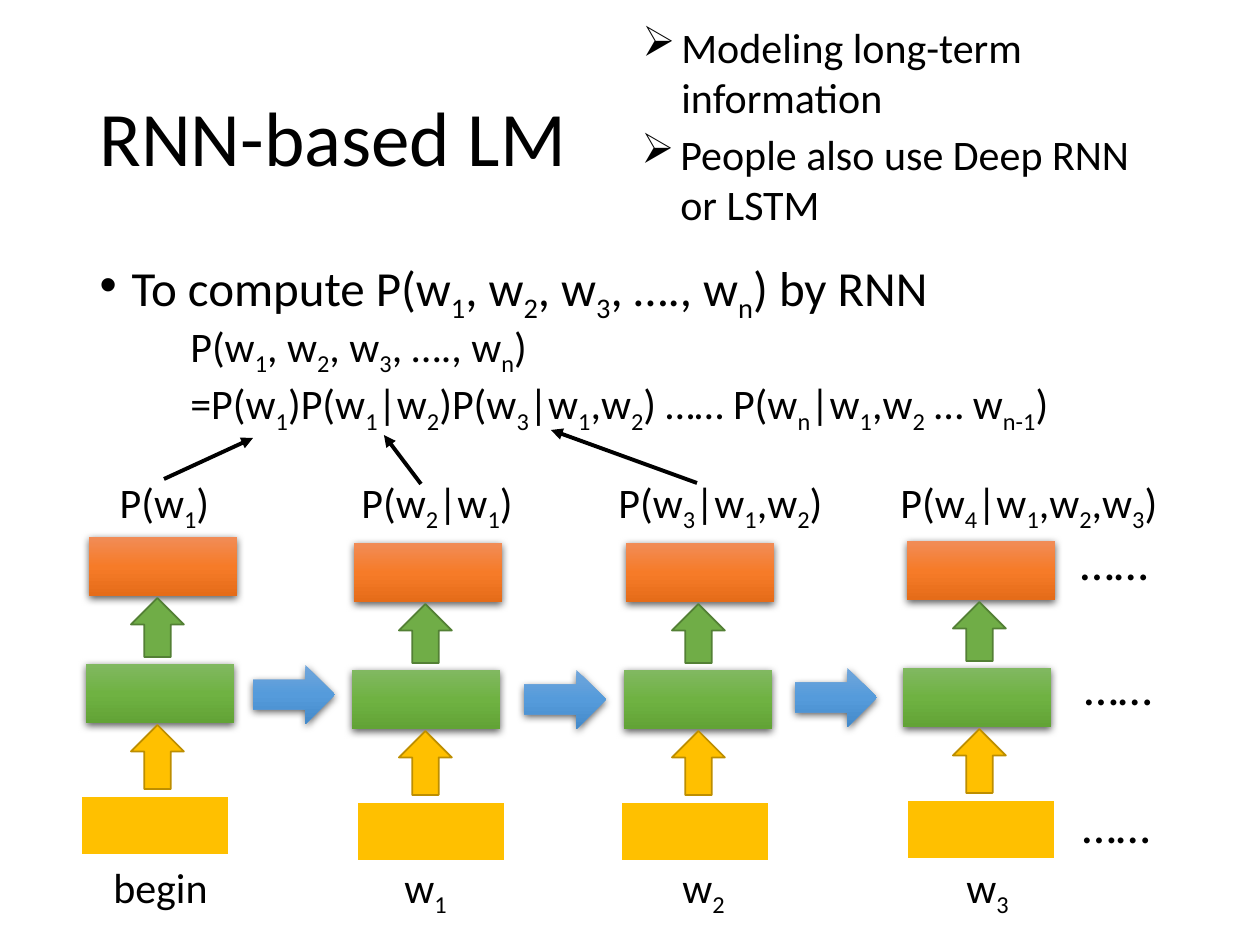
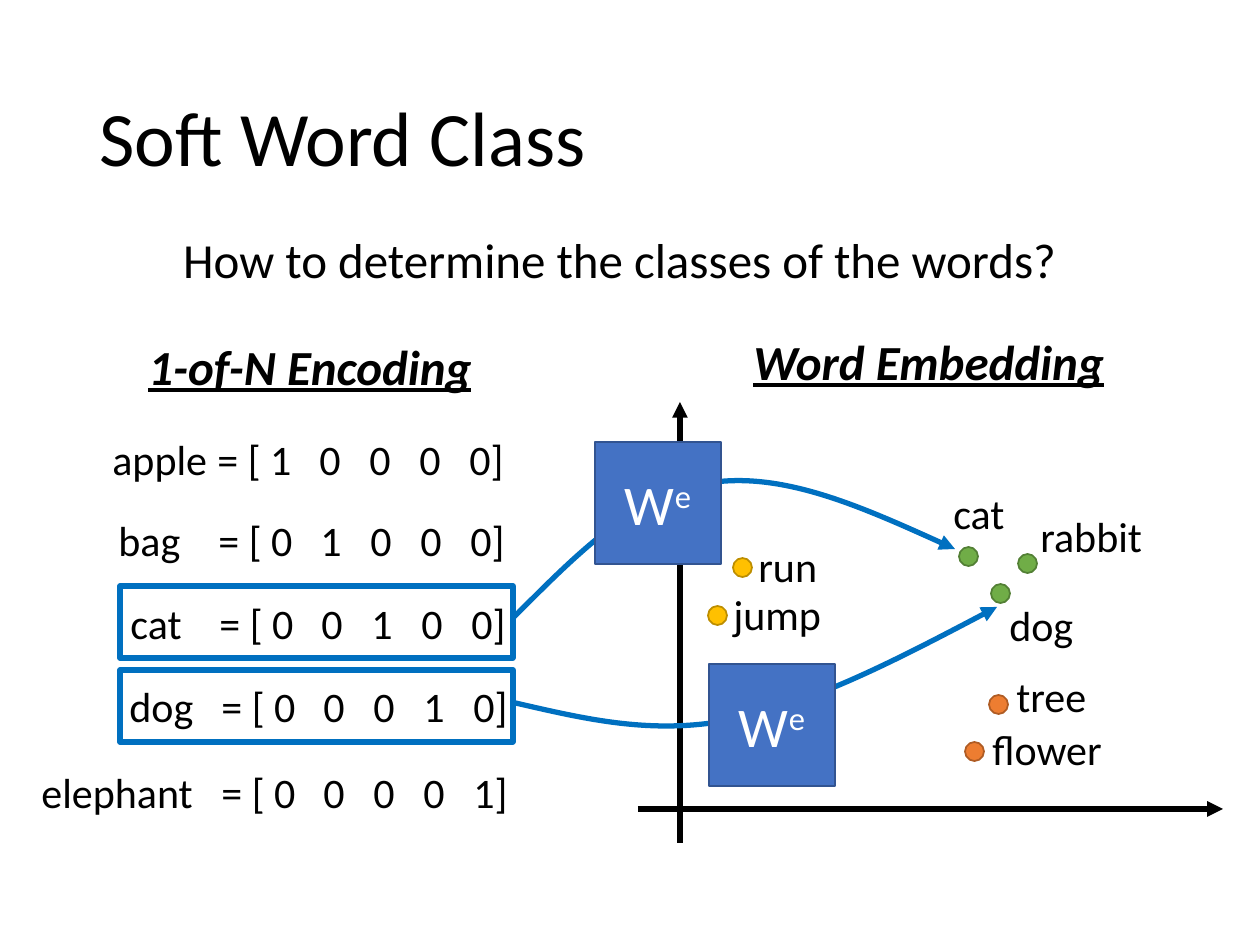
from lxml.etree import SubElement
from pptx import Presentation
from pptx.dml.color import RGBColor
from pptx.enum.shapes import MSO_CONNECTOR, MSO_SHAPE
from pptx.enum.text import MSO_ANCHOR, MSO_AUTO_SIZE, PP_ALIGN
from pptx.oxml.ns import qn
from pptx.util import Emu, Pt

RECT, OVAL = MSO_SHAPE.RECTANGLE, MSO_SHAPE.OVAL
UP, RIGHT = MSO_SHAPE.UP_ARROW, MSO_SHAPE.RIGHT_ARROW
LINE = MSO_CONNECTOR.STRAIGHT
LEFT, MID = PP_ALIGN.LEFT, PP_ALIGN.CENTER
TOP, CENTER = MSO_ANCHOR.TOP, MSO_ANCHOR.MIDDLE
FIXED = MSO_AUTO_SIZE.NONE

FONT = "Calibri"
COLORS = {
    "black": "000000", "white": "FFFFFF", "blue": "0070C0",
    "box": "4472C4", "box edge": "325491",
    "gold": "FFC000", "gold edge": "BD8E00",
    "green": "70AD47", "green edge": "538035",
    "rust": "ED7D31", "rust edge": "AF5C24",
}
FADES = {
    "green": ("81B861", "6FB242", "62A336"),
    "rust": ("F18C57", "F67B28", "E56C19"),
    "sky": ("71A6DB", "559BDB", "448ACA"),
}
SCALE = 914400 / 126


def px(value):
    return Emu(round(value * SCALE))


def rgb(name):
    return RGBColor.from_string(COLORS[name])


def write(frame, text, size=24, color="black", align=LEFT, anchor=TOP, bold=None,
          slant=None, under=None, base=-25, space=None, before=0, bullet=None,
          hang=0, tabs=(), wrap=True):
    frame.word_wrap = wrap
    frame.auto_size = FIXED
    frame.vertical_anchor = anchor
    for i, row in enumerate(text.split("\n")):
        para = frame.add_paragraph() if i else frame.paragraphs[0]
        para.alignment = align
        para.space_before = Pt(before)
        if space:
            para.line_spacing = space
        for j, part in enumerate(row.split("~")):
            if not part:
                continue
            run = para.add_run()
            run.text = part
            font = run.font
            font.name, font.size = FONT, Pt(size)
            font.bold, font.italic, font.underline = bold, slant, under
            font.color.rgb = rgb(color)
            if j % 2:
                run._r.get_or_add_rPr().set("baseline", str(base * 1000))
        props = para._p.get_or_add_pPr()
        if bullet:
            props.set("marL", str(px(hang)))
            props.set("indent", str(-px(hang)))
            SubElement(props, qn("a:buChar"), char=bullet)
        if tabs:
            stops = SubElement(props, qn("a:tabLst"))
            for stop in tabs:
                SubElement(stops, qn("a:tab"), pos=str(px(stop)), algn="l")


class Deck:
    def __init__(self):
        self.show = Presentation()
        self.show.slide_width, self.show.slide_height = px(1260), px(945)
        self.slide = None

    def page(self, title, layout):
        self.slide = self.show.slides.add_slide(self.show.slide_layouts[layout])
        self.hold(0, title, 87, 50, 1086, 183, size=44, anchor=CENTER, space=0.9)

    def hold(self, index, text, x, y, w, h, **style):
        item = self.slide.placeholders[index]
        item.left, item.top, item.width, item.height = map(px, (x, y, w, h))
        write(item.text_frame, text, **style)

    def text(self, text, x, y, w, h=63, **style):
        item = self.slide.shapes.add_textbox(*map(px, (x, y, w, h)))
        write(item.text_frame, text, **style)

    def shape(self, kind, x, y, w, h, fill=None, edge=None, width=1):
        item = self.slide.shapes.add_shape(kind, *map(px, (x, y, w, h)))
        item.shadow.inherit = False
        if fill:
            item.fill.solid()
            item.fill.fore_color.rgb = rgb(fill)
        else:
            item.fill.background()
        if edge:
            item.line.color.rgb = rgb(edge)
            item.line.width = Pt(width)
        else:
            item.line.fill.background()
        return item

    def fade(self, kind, x, y, w, h, name):
        item = self.shape(kind, x, y, w, h)
        item.fill.gradient()
        item.fill.gradient_angle = 270
        props = item._element.spPr
        stops = props.find(".//" + qn("a:gsLst"))
        for old in list(stops):
            stops.remove(old)
        for i, tone in enumerate(FADES[name]):
            stop = SubElement(stops, qn("a:gs"), pos=str(i * 50000))
            SubElement(stop, qn("a:srgbClr"), val=tone)
        shade = SubElement(props.find(qn("a:effectLst")), qn("a:outerShdw"),
                           blurRad=str(Pt(4.5)), dist=str(Pt(1.5)),
                           dir="5400000", algn="ctr", rotWithShape="0")
        tint = SubElement(shade, qn("a:srgbClr"), val=COLORS["black"])
        SubElement(tint, qn("a:alpha"), val="63000")

    def head(self, item, color, width):
        item.line.color.rgb = rgb(color)
        item.line.width = Pt(width)
        SubElement(item.line._get_or_add_ln(), qn("a:tailEnd"), type="triangle")

    def arrow(self, x1, y1, x2, y2, width):
        item = self.slide.shapes.add_connector(LINE, *map(px, (x1, y1, x2, y2)))
        self.head(item, "black", width)
        SubElement(item._element.spPr, qn("a:effectLst"))

    def curve(self, start, *points):
        form = self.slide.shapes.build_freeform(*start, scale=SCALE)
        form.add_line_segments(points, close=False)
        item = form.convert_to_shape()
        item.shadow.inherit = False
        item.fill.background()
        self.head(item, "blue", 3)
        track = item._element.spPr.find(".//" + qn("a:path"))
        legs = track.findall(qn("a:lnTo"))
        for i in range(0, len(legs), 3):
            bend = SubElement(track, qn("a:cubicBezTo"))
            for leg in legs[i:i + 3]:
                bend.append(leg[0])
                track.remove(leg)

    def dot(self, x, y, color):
        self.shape(OVAL, x, y, 19, 19, color, color + " edge")


deck = Deck()

deck.page("RNN-based LM", 1)
deck.hold(1, "To compute P(w~1~, w~2~, w~3~, …., w~n~) by RNN", 87, 252, 1086, 600,
          size=28, space=0.9, before=10, bullet="•", hang=32)

COLUMNS = (
    (81, 86, 89, 131, 0),
    (357, 352, 354, 399, 6),
    (621, 624, 626, 672, 6),
    (907, 903, 907, 953, 4),
)
for low, mid, high, stem, drop in COLUMNS:
    deck.shape(RECT, low, 796 + drop, 148, 59, "gold", "white", 1.5)
    deck.fade(RECT, mid, 664 + drop, 148, 59, "green")
    deck.fade(RECT, high, 537 + drop, 148, 59, "rust")
    deck.shape(UP, stem, 725 + drop, 53, 64, "gold", "gold edge")
    deck.shape(UP, stem, 598 + drop, 53, 59, "green", "green edge")
for i, y in enumerate((665, 670, 668)):
    deck.fade(RIGHT, 253 + 271 * i, y, 82, 59, "sky")

for word, x in (("begin", 76), ("w~1~", 341), ("w~2~", 619), ("w~3~", 903)):
    deck.text(word, x, 855, 169, align=MID)
deck.text("P(w~1~, w~2~, w~3~, …., w~n~)\n"
          "=P(w~1~)P(w~1~|w~2~)P(w~3~|w~1~,w~2~) …… P(w~n~|w~1~,w~2~ … w~n-1~)",
          178, 314, 906, 115)
for x, y in ((1070, 788), (1072, 650), (1068, 525)):
    deck.text("……", x, y, 112, 72, size=28)
for text, x, w, align in (
    ("P(w~1~)", 97, 135, MID),
    ("P(w~2~|w~1~)", 349, 195, LEFT),
    ("P(w~3~|w~1~,w~2~)", 606, 238, LEFT),
    ("P(w~4~|w~1~,w~2~,w~3~)", 888, 299, LEFT),
):
    deck.text(text, x, 470, w, align=align)
for ends in ((164, 479, 253, 438), (421, 484, 384, 435), (697, 483, 551, 430)):
    deck.arrow(*ends, 2.25)
for text, x, y, w in (
    ("People also use Deep RNN or LSTM", 629, 122, 552),
    ("Modeling long-term information", 630, 15, 590),
):
    deck.text(text, x, y, w, 115, bullet="➢", hang=39)

deck.page("Soft Word Class", 5)
deck.arrow(638, 809, 1223, 809, 3)
deck.arrow(680, 843, 680, 402, 3)
for word, color, x, y, left, top, w in (
    ("dog", "green", 991, 584, 997, 593, 100),
    ("cat", "green", 959, 547, 941, 481, 100),
    ("rabbit", "green", 1018, 554, 1028, 504, 136),
    ("jump", "gold", 708, 606, 721, 582, 161),
    ("run", "gold", 733, 558, 746, 534, 161),
    ("flower", "rust", 965, 742, 980, 717, 161),
    ("tree", "rust", 989, 695, 1004, 664, 161),
):
    deck.dot(x, y, color)
    deck.text(word, left, top, w)

for i, (word, x, y, gap) in enumerate((
    ("apple", 100, 427, 105),
    ("bag", 106, 508, 100),
    ("cat", 118, 591, 89),
    ("dog", 117, 674, 92),
    ("elephant", 29, 760, 180),
)):
    bits = "\t".join("1" if i == j else "0" for j in range(5))
    stops = [gap] + [gap + 52 + 50 * j for j in range(1, 5)]
    deck.text(f"{word}\t= [ {bits}]", x, y, 559, tabs=stops)

for text, x, y, w in (("1-of-N Encoding", 136, 330, 354),
                      ("Word Embedding", 741, 325, 379)):
    deck.text(text, x, y, w, 72, size=28, bold=True, slant=True, under=True, wrap=False)
for y in (586, 670):
    deck.shape(RECT, 120, y, 393, 72, None, "blue", 3)
deck.curve((515, 703), (585, 719), (654, 736), (735, 719),
           (814, 703), (906, 655), (997, 607))
deck.curve((514, 617), (575, 556), (635, 494), (708, 483),
           (782, 471), (869, 510), (955, 549))
for x, y in ((595, 442), (709, 664)):
    box = deck.shape(RECT, x, y, 126, 122, "box", "box edge")
    write(box.text_frame, "W~e~", size=32, color="white", align=MID,
          anchor=CENTER, base=30)
deck.text("How to determine the classes of the words?", 142, 223, 955, 72,
          size=28, align=MID)

deck.show.save("out.pptx")
